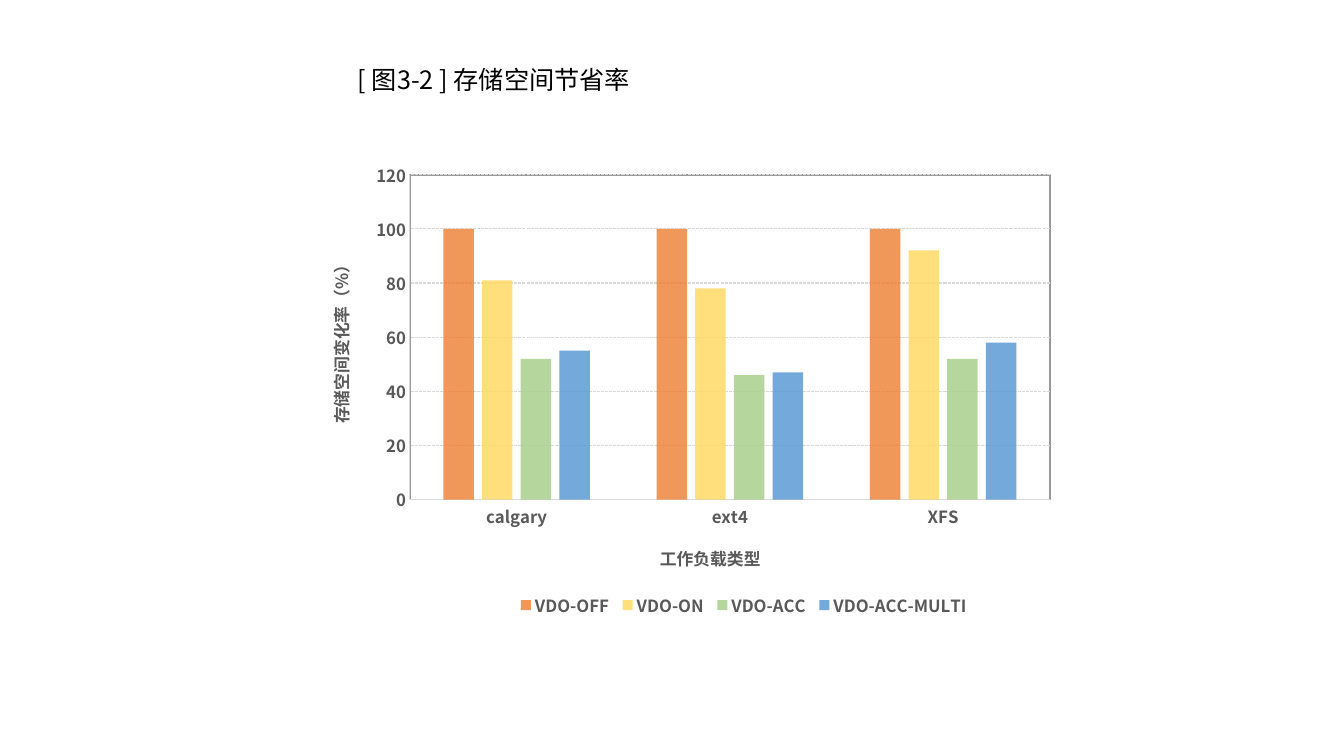
from lxml import etree
from pptx import Presentation
from pptx.chart.data import CategoryChartData
from pptx.dml.color import RGBColor
from pptx.enum.chart import XL_CHART_TYPE, XL_LEGEND_POSITION, XL_TICK_MARK
from pptx.enum.dml import MSO_LINE
from pptx.oxml import parse_xml
from pptx.oxml.ns import nsdecls, qn
from pptx.util import Inches, Pt

FONT = "Noto Sans CJK SC"
BLACK = RGBColor(0x00, 0x00, 0x00)
GRAY = RGBColor(0x59, 0x59, 0x59)
FRAME = RGBColor(0x99, 0x99, 0x99)
LIGHT = RGBColor(0xD9, 0xD9, 0xD9)
ORANGE = RGBColor(0xED, 0x7D, 0x31)
YELLOW = RGBColor(0xFF, 0xD9, 0x66)
GREEN = RGBColor(0xA9, 0xD1, 0x8E)
BLUE = RGBColor(0x5B, 0x9B, 0xD5)

SERIES = [
    ("VDO-OFF", (100, 100, 100), ORANGE, 80),
    ("VDO-ON", (81, 78, 92), YELLOW, 85),
    ("VDO-ACC", (52, 46, 52), GREEN, 85),
    ("VDO-ACC-MULTI", (55, 47, 58), BLUE, 85),
]


def set_font(font, size, color, bold):
    font.name, font.size, font.bold = FONT, Pt(size), bold
    font.color.rgb = color


def place(element, index, **fractions):
    """Give a chart part a manual layout in fractions of the chart."""
    old = element.find(qn("c:layout"))
    if old is not None:
        element.remove(old)
    layout = etree.Element(qn("c:layout"))
    manual = etree.SubElement(layout, qn("c:manualLayout"))
    modes = {"xMode": "edge", "yMode": "edge"}
    if element.tag == qn("c:plotArea"):
        modes = {"layoutTarget": "inner", **modes}
    for tag, value in {**modes, **fractions}.items():
        etree.SubElement(manual, qn("c:" + tag)).set("val", str(value))
    element.insert(index, layout)


prs = Presentation()
prs.slide_width, prs.slide_height = Inches(13.33), Inches(7.5)
s = prs.slides.add_slide(prs.slide_layouts[6])

# Chart
data = CategoryChartData()
data.categories = ["calgary", "ext4", "XFS"]
for name, values, _, _ in SERIES:
    data.add_series(name, values)
chart = s.shapes.add_chart(XL_CHART_TYPE.COLUMN_CLUSTERED, Inches(3.06), Inches(1.52),
                           Inches(7.51), Inches(4.74), data).chart
chart.has_title = False
set_font(chart.font, 10, BLACK, False)

# Columns
plot = chart.plots[0]
plot.gap_width, plot.overlap = 219, -27
plot.vary_by_categories = False
for series, (_, _, color, alpha) in zip(plot.series, SERIES):
    fill = series.format.fill
    fill.solid()
    fill.fore_color.rgb = color
    series.invert_if_negative = False
    srgb = series.format.fill._xPr.find(".//" + qn("a:srgbClr"))
    etree.SubElement(srgb, qn("a:alpha")).set("val", str(alpha * 1000))

# Axes
axes = [
    (chart.category_axis, "工作负载类型", 0.46, 0.81),
    (chart.value_axis, "存储空间变化率（%）", 0.02, 0.21),
]
for axis, title, x, y in axes:
    axis.major_tick_mark = axis.minor_tick_mark = XL_TICK_MARK.NONE
    set_font(axis.tick_labels.font, 12, GRAY, True)
    axis.format.line.color.rgb = LIGHT
    axis.format.line.width = Pt(0.75)
    p = axis.axis_title.text_frame.paragraphs[0]
    p.text = title
    set_font(p.font, 12, GRAY, True)
    place(axis.axis_title._element, 1, x=x, y=y)

value_axis = chart.value_axis
value_axis.axis_title.text_frame._txBody.bodyPr.set("rot", "-5400000")
value_axis.minimum_scale, value_axis.maximum_scale = 0, 120
value_axis.major_unit = 20
grid = value_axis.major_gridlines.format.line
grid.color.rgb = LIGHT
grid.width = Pt(0.75)
grid.dash_style = MSO_LINE.SQUARE_DOT

# Plot area with a thin frame
plot_area = chart._chartSpace.chart.plotArea
place(plot_area, 0, x=0.134, y=0.045, w=0.845, h=0.68)
plot_area.append(parse_xml(
    f'<c:spPr {nsdecls("c", "a")}><a:noFill/><a:ln w="{Pt(1.25)}"><a:solidFill>'
    f'<a:srgbClr val="{FRAME}"/></a:solidFill></a:ln></c:spPr>'))

# Legend
chart.has_legend = True
legend = chart.legend
legend.position = XL_LEGEND_POSITION.BOTTOM
legend.include_in_layout = False
set_font(legend.font, 12, GRAY, True)
place(legend._element, 1, x=0.27, y=0.916, w=0.61, h=0.06)

# Caption
tf = s.shapes.add_textbox(Inches(3.45), Inches(0.59), Inches(7.66), Inches(0.4)).text_frame
tf.word_wrap = True
p = tf.paragraphs[0]
p.text = "[ 图3-2 ] 存储空间节省率"
set_font(p.font, 18, BLACK, False)
r = p.runs[0]
etree.SubElement(r.font._element, qn("a:ea")).set("typeface", FONT)

prs.save("out.pptx")
